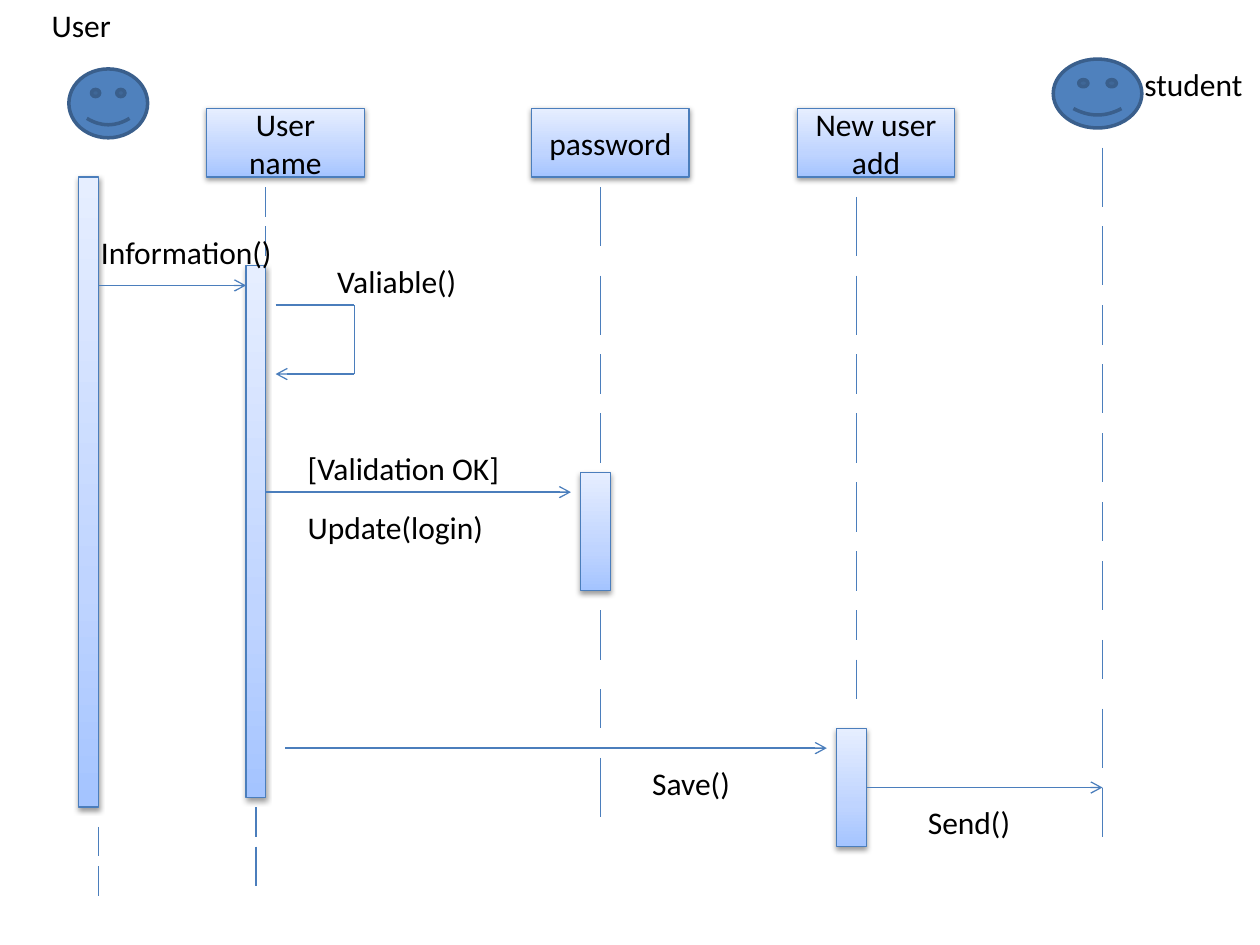
from dataclasses import dataclass
from typing import NamedTuple

from lxml import etree
from pptx import Presentation
from pptx import util as u
from pptx.dml import color as clr
from pptx.enum import shapes as sh, text as tx
from pptx.oxml import ns

WIDE, HIGH = u.Inches(10), u.Inches(7.5)
COLS = 128
CELL = WIDE / COLS  # square grid, 128 columns by 96 rows


@dataclass(frozen=True)
class Theme:
    font: str = "Calibri"
    size: float = 18
    ink: str = "000000"
    face: str = "4F81BD"
    rim: str = "3A5F8C"
    line: str = "4B7EBC"
    fade: tuple = ((0, "A4C4FF"), (35, "BFD4FF"), (100, "E6EEFF"))
    thin: float = 0.75
    thick: float = 2


class Area(NamedTuple):
    col: float
    row: float
    cols: float
    rows: float


class Line(NamedTuple):
    col: float
    row: float
    to_col: float
    to_row: float
    arrow: bool = False


class Life(NamedTuple):
    """A dashed lifeline: its column and the rows each dash spans."""
    col: float
    spans: tuple


class Label(NamedTuple):
    words: str
    col: float
    row: float
    cols: float


THEME = Theme()
LABEL_ROWS = 5.12

FACES = [Area(7, 7, 8, 7), Area(107, 6, 9, 7)]
HEADS = [("User name", 21), ("password", 54), ("New user add", 81)]
BARS = {
    "user": Area(8, 18, 2, 64),
    "name": Area(25, 27, 2, 54),
    "login": Area(59, 48, 3, 12),
    "add": Area(85, 74, 3, 12),
}
LINES = [
    Line(10, 29, 25, 29, True),
    Line(28, 31, 36, 31),
    Line(36, 31, 36, 38),
    Line(36, 38, 28, 38, True),
    Line(27, 50, 58, 50, True),
    Line(29, 76, 84, 76, True),
]
SEND = Line(88, 80, 112, 80, True)
LIVES = [
    Life(10, ((84, 87), (88, 91))),
    Life(26, ((82, 85), (86, 90))),
    Life(27, ((19, 22), (23, 26))),
    Life(61, ((19, 25), (28, 34), (36, 40), (42, 47), (62, 67), (70, 74),
              (77, 83))),
    Life(87, ((20, 26), (28, 34), (36, 40), (42, 47), (49, 54), (56, 60),
              (62, 65), (67, 71))),
    Life(112, ((15, 21), (23, 29), (31, 35), (37, 42), (44, 49), (51, 55),
               (57, 62), (65, 69), (72, 78), (80, 85))),
]
LABELS = [
    Label("User", 4, 0, 14),
    Label("Valiable()", 33, 26, 19),
    Label("Update(login)", 30, 51, 24),
    Label("student", 115, 6, 13),
    Label("Send()", 93, 81, 13),
    Label("Save()", 65, 77, 13),
    Label("[Validation OK]", 30, 45, 24),
    Label("Information()", 9, 23, 20),
]


def grid(*cells: float) -> list[int]:
    return [round(n * CELL) for n in cells]


def rgb(code: str) -> clr.RGBColor:
    return clr.RGBColor.from_string(code)


def node(root, tag: str, **attrs):
    return etree.SubElement(root, ns.qn(tag), **attrs)


def write(shape, words: str, *, align=tx.PP_ALIGN.LEFT,
          anchor=tx.MSO_ANCHOR.TOP, fit=tx.MSO_AUTO_SIZE.NONE) -> None:
    frame = shape.text_frame
    frame.word_wrap, frame.auto_size = True, fit
    frame.vertical_anchor = anchor
    par = frame.paragraphs[0]
    par.alignment = align
    run = par.add_run()
    run.text = words
    run.font.name, run.font.size = THEME.font, u.Pt(THEME.size)
    run.font.color.rgb = rgb(THEME.ink)


def stroke(line, code: str, width: float) -> None:
    line.color.rgb, line.width = rgb(code), u.Pt(width)


def draw_face(slide, area: Area) -> None:
    face = slide.shapes.add_shape(sh.MSO_SHAPE.SMILEY_FACE, *grid(*area))
    face.shadow.inherit = False
    face.fill.solid()
    face.fill.fore_color.rgb = rgb(THEME.face)
    stroke(face.line, THEME.rim, THEME.thick)


def draw_block(slide, area: Area):
    """Draw a rectangle with the theme's upward fade and soft shadow."""
    block = slide.shapes.add_shape(sh.MSO_SHAPE.RECTANGLE, *grid(*area))
    block.fill.gradient()
    block.fill.gradient_angle = 90
    props = block.element.spPr
    stops = props.find(".//" + ns.qn("a:gsLst"))
    for old in list(stops):
        stops.remove(old)
    for place, code in THEME.fade:
        stop = node(stops, "a:gs", pos=str(place * 1000))
        node(stop, "a:srgbClr", val=code)
    stroke(block.line, THEME.line, THEME.thin)
    block.shadow.inherit = False
    shade = node(props.find(ns.qn("a:effectLst")), "a:outerShdw",
                 blurRad=str(u.Pt(3.1)), dist=str(u.Pt(1.6)),
                 dir="5400000", rotWithShape="0")
    tint = node(shade, "a:srgbClr", val=THEME.ink)
    node(tint, "a:alpha", val="38000")
    return block


def draw_line(slide, line: Line):
    link = slide.shapes.add_connector(sh.MSO_CONNECTOR.STRAIGHT,
                                      *grid(*line[:4]))
    stroke(link.line, THEME.line, THEME.thin)
    props = link.element.spPr
    if line.arrow:
        node(props.find(ns.qn("a:ln")), "a:tailEnd", type="arrow")
    node(props, "a:effectLst")
    return link


def draw_label(slide, label: Label) -> None:
    box = slide.shapes.add_textbox(
        *grid(label.col, label.row, label.cols, LABEL_ROWS))
    write(box, label.words, fit=tx.MSO_AUTO_SIZE.SHAPE_TO_FIT_TEXT)


def main() -> None:
    deck = Presentation()
    deck.slide_width, deck.slide_height = WIDE, HIGH
    slide = deck.slides.add_slide(deck.slide_layouts[6])
    for face in FACES:
        draw_face(slide, face)
    bars = {name: draw_block(slide, area) for name, area in BARS.items()}
    for words, col in HEADS:
        write(draw_block(slide, Area(col, 11, 16, 7)), words,
              align=tx.PP_ALIGN.CENTER, anchor=tx.MSO_ANCHOR.MIDDLE)
    for line in LINES:
        draw_line(slide, line)
    draw_line(slide, SEND).begin_connect(bars["add"], 3)
    for life in LIVES:
        for top, end in life.spans:
            draw_line(slide, Line(life.col, top, life.col, end))
    for label in LABELS:
        draw_label(slide, label)
    deck.save("out.pptx")


if __name__ == "__main__":
    main()
